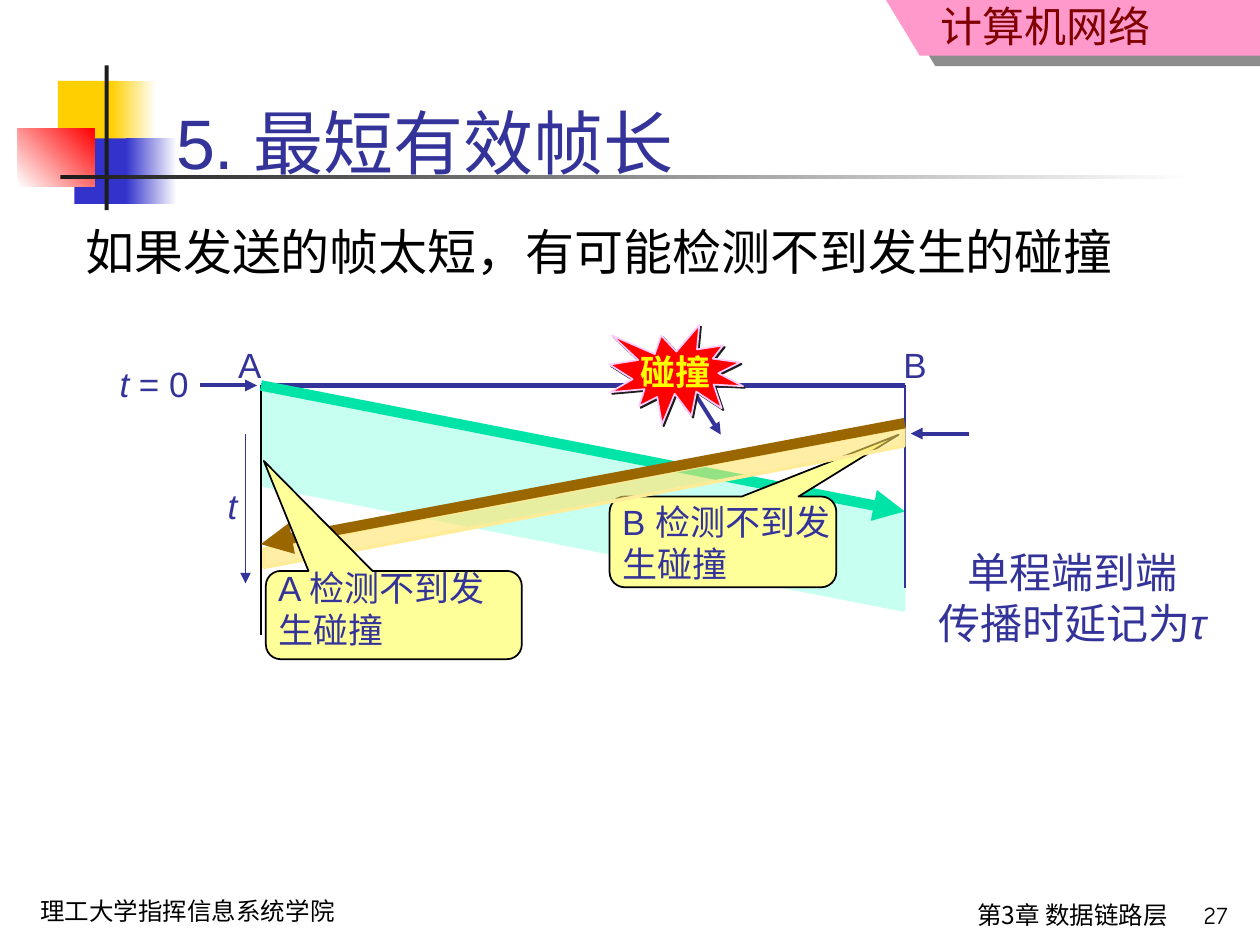
from dataclasses import dataclass

from lxml import etree
from pptx import Presentation
from pptx.dml.color import RGBColor
from pptx.enum.shapes import MSO_CONNECTOR, MSO_SHAPE
from pptx.enum.text import MSO_ANCHOR, PP_ALIGN
from pptx.oxml.ns import qn
from pptx.util import Cm, Pt

RECT = MSO_SHAPE.RECTANGLE
BAND = MSO_SHAPE.PARALLELOGRAM
CALLOUT = MSO_SHAPE.ROUNDED_RECTANGULAR_CALLOUT
LEFT, CENTER, RIGHT = PP_ALIGN.LEFT, PP_ALIGN.CENTER, PP_ALIGN.RIGHT
TOP, MIDDLE, BOTTOM = MSO_ANCHOR.TOP, MSO_ANCHOR.MIDDLE, MSO_ANCHOR.BOTTOM


@dataclass(frozen=True)
class Theme:
    white: str = "FFFFFF"
    black: str = "000000"
    dark: str = "1C1C1C"
    gold: str = "FFCF01"
    blue: str = "3333CC"
    red: str = "FF0000"
    pink: str = "FF99CC"
    maroon: str = "800000"
    navy: str = "333399"
    mint: str = "C7FFF0"
    green: str = "00E4A8"
    brown: str = "996600"
    sand: str = "FFE267"
    sand_edge: str = "FFEC99"
    note: str = "FFFF99"
    seal_edge: str = "FFCCFF"
    yellow: str = "FFFF00"
    title: int = 40
    body: int = 28
    heading: int = 24
    label: int = 20
    footer: int = 14
    sans: str = "Arial"
    cjk: str = "Noto Sans CJK SC"
    casual: str = "Comic Neue"


T = Theme()
prs = Presentation()
prs.slide_width, prs.slide_height = Cm(25.4), Cm(19.05)
shapes = prs.slides.add_slide(prs.slide_layouts[6]).shapes


def add_figure(kind, box, fill, edge=None, width=1, adjust=()):
    figure = shapes.add_shape(kind, *map(Cm, box))
    figure.shadow.inherit = False
    figure.fill.solid()
    figure.fill.fore_color.rgb = RGBColor.from_string(fill)
    if edge:
        figure.line.color.rgb = RGBColor.from_string(edge)
        figure.line.width = Pt(width)
    else:
        figure.line.fill.background()
    for i, value in enumerate(adjust):
        figure.adjustments[i] = value
    return figure


def add_line(start, end, color, width, arrow=False):
    line = shapes.add_connector(MSO_CONNECTOR.STRAIGHT, *map(Cm, start + end))
    line.line.color.rgb = RGBColor.from_string(color)
    line.line.width = Pt(width)
    if arrow:
        etree.SubElement(line.line._get_or_add_ln(), qn("a:tailEnd"), type="triangle")
    etree.SubElement(line._element.spPr, qn("a:effectLst"))


# Corner ornament: colour blocks, some fading to a second colour
for box, color, fade_to, angle in [
    ((1.17, 1.63, 1.22, 1.32), T.gold, None, 0),
    ((2.24, 1.63, 0.91, 1.32), T.gold, T.white, 0),
    ((1.5, 2.79, 1.17, 1.32), T.blue, None, 0),
    ((2.54, 2.79, 1.02, 1.32), T.blue, T.white, 0),
    ((0.36, 2.59, 1.55, 1.17), T.white, T.red, 45),
    ((2.11, 1.32, 0.08, 2.92), T.dark, None, 0),
    ((1.22, 3.53, 22.86, 0.08), T.dark, T.white, 0),
]:
    block = add_figure(RECT, box, color)
    if fade_to:
        block.fill.gradient()
        block.fill.gradient_angle = angle
        for stop, stop_color, position in zip(block.fill.gradient_stops, (color, fade_to), (0, 1)):
            stop.color.rgb = RGBColor.from_string(stop_color)
            stop.position = position

# Course banner
outline = shapes.build_freeform(Cm(17.86), 0)
outline.add_line_segments([(Cm(18.54), Cm(1.12)), (Cm(25.4), Cm(1.12)), (Cm(25.4), 0)])
banner = outline.convert_to_shape()
banner.shadow.inherit = False
banner.fill.solid()
banner.fill.fore_color.rgb = RGBColor.from_string(T.pink)
banner.line.fill.background()

# Signal from A to B
sent_band = add_figure(BAND, (9.53, 3.61, 4.47, 12.9), T.mint, T.mint, 2, [0.562])
sent_band.rotation = 270

A_X, B_X, START_Y = 5.26, 18.24, 7.77
for segment in [
    ((A_X, START_Y), (B_X, START_Y), T.navy, 3),
    ((A_X, START_Y), (A_X, 12.8), T.black, 1),
    ((A_X, START_Y), (B_X, 10.31), T.green, 6, True),
    ((4.95, 8.74), (4.95, 11.76), T.navy, 1, True),
    ((B_X, START_Y), (B_X, 11.86), T.navy, 1),
    ((14.02, 7.95), (14.53, 8.76), T.navy, 2.25, True),
    ((19.53, 8.74), (18.36, 8.74), T.navy, 2.25, True),
    ((4.04, START_Y), (5.18, START_Y), T.navy, 2.25, True),
]:
    add_line(*segment)

collision = add_figure(MSO_SHAPE.EXPLOSION1, (12.29, 6.55, 2.69, 2.01), T.red, T.seal_edge)
add_figure(CALLOUT, (12.29, 10.01, 4.57, 1.83), T.note, T.black, 1, [0.775, -1.181, 0.167])

# Signal from B to A, see-through over the first one
reply_band = add_figure(BAND, (10.36, 3.58, 2.82, 12.9), T.sand, T.sand_edge, 2, [0.868])
reply_band.rotation = 270
reply_band._element.spPr.xfrm.set("flipV", "1")
sand = reply_band._element.spPr.find(qn("a:solidFill"))[0]
etree.SubElement(sand, qn("a:alpha"), val="58000")
add_line((B_X, 8.53), (A_X, 10.97), T.brown, 6, True)
add_figure(CALLOUT, (5.36, 11.51, 5.16, 1.78), T.note, T.black, 1, [-0.508, -1.746, 0.167])

for caster, distance, direction, opacity in [(banner, 10.8, 34, 50), (collision, 1.4, 45, 100)]:
    effects = caster._element.spPr.find(qn("a:effectLst"))
    shadow = etree.SubElement(effects, qn("a:outerShdw"), blurRad="0", dist=str(Pt(distance)),
                              dir=str(direction * 60000), algn="ctr", rotWithShape="0")
    shade = etree.SubElement(shadow, qn("a:srgbClr"), val=T.dark)
    etree.SubElement(shade, qn("a:alpha"), val=str(opacity * 1000))

# Texts: place, paragraphs, size, font, colour, alignment, anchor, wrap; "*" marks an italic run
for place, paragraphs, size, font, color, align, anchor, wrap in [
    ((14.48, 0, 8.97, 1.14), [["计算机网络"]], T.heading, T.cjk, T.maroon, RIGHT, TOP, True),
    ((0.56, 17.93, 7.9, 0.86), [["理工大学指挥信息系统学院"]],
     T.footer, T.casual, T.black, LEFT, TOP, True),
    ((1.47, 4.34, 23.04, 12.52), [["如果发送的帧太短，有可能检测不到发生的碰撞"]],
     T.body, T.sans, T.black, LEFT, TOP, True),
    ((10.9, 18.01, 12.9, 1.04), [["第3章 数据链路层"]],
     T.footer, T.cjk, T.black, RIGHT, TOP, True),
    ((22.99, 18.01, 2.01, 0.97), [["27"]], T.footer, T.casual, T.black, RIGHT, TOP, True),
    ((3.3, 0.64, 21.13, 3.18), [["5. 最短有效帧长"]],
     T.title, T.sans, T.navy, LEFT, BOTTOM, True),
    ((4.55, 6.81, 0.97, 1.09), [["A"]], T.label, T.sans, T.navy, LEFT, TOP, False),
    ((17.96, 6.81, 0.97, 1.09), [["B"]], T.label, T.sans, T.navy, LEFT, TOP, False),
    ((4.34, 9.65, 0.71, 1.09), [["*t"]], T.label, T.sans, T.navy, LEFT, TOP, False),
    ((2.16, 7.19, 1.91, 1.12), [["*t", " = 0"]], T.label, T.sans, T.navy, LEFT, TOP, False),
    (collision, [["碰撞"]], T.label, T.sans, T.yellow, CENTER, MIDDLE, False),
    ((12.29, 9.96, 4.95, 1.96), [["B 检测不到发生碰撞"]],
     T.label, T.sans, T.navy, LEFT, TOP, True),
    ((5.36, 11.3, 4.95, 1.96), [["A 检测不到发生碰撞"]],
     T.label, T.sans, T.navy, LEFT, TOP, True),
    ((18.54, 10.9, 6.15, 2.29), [["单程端到端"], ["传播时延记为", "*τ"]],
     T.heading, T.sans, T.navy, CENTER, TOP, False),
]:
    holder = place if place is collision else shapes.add_textbox(*map(Cm, place))
    frame = holder.text_frame
    frame.word_wrap = wrap
    frame.vertical_anchor = anchor
    if holder.top == 0:
        frame.margin_top = 0
    for i, runs in enumerate(paragraphs):
        paragraph = frame.add_paragraph() if i else frame.paragraphs[0]
        paragraph.alignment = align
        paragraph.font.size = Pt(size)
        paragraph.font.name = font
        paragraph.font.color.rgb = RGBColor.from_string(color)
        if holder is collision:
            paragraph.font.bold = True
        etree.SubElement(paragraph.font._element, qn("a:ea"), typeface=T.cjk)
        for words in runs:
            run = paragraph.add_run()
            run.text = words.removeprefix("*")
            if words.startswith("*"):
                run.font.italic = True

prs.save("out.pptx")
